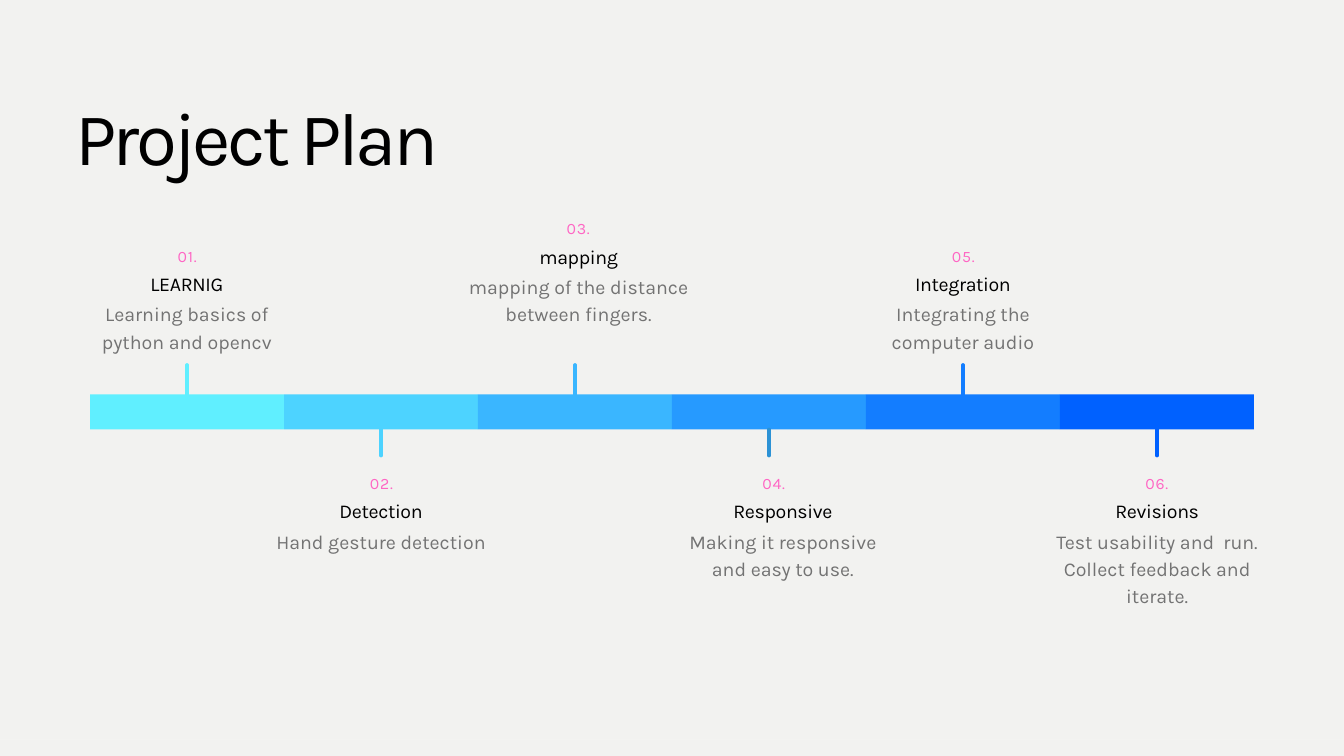
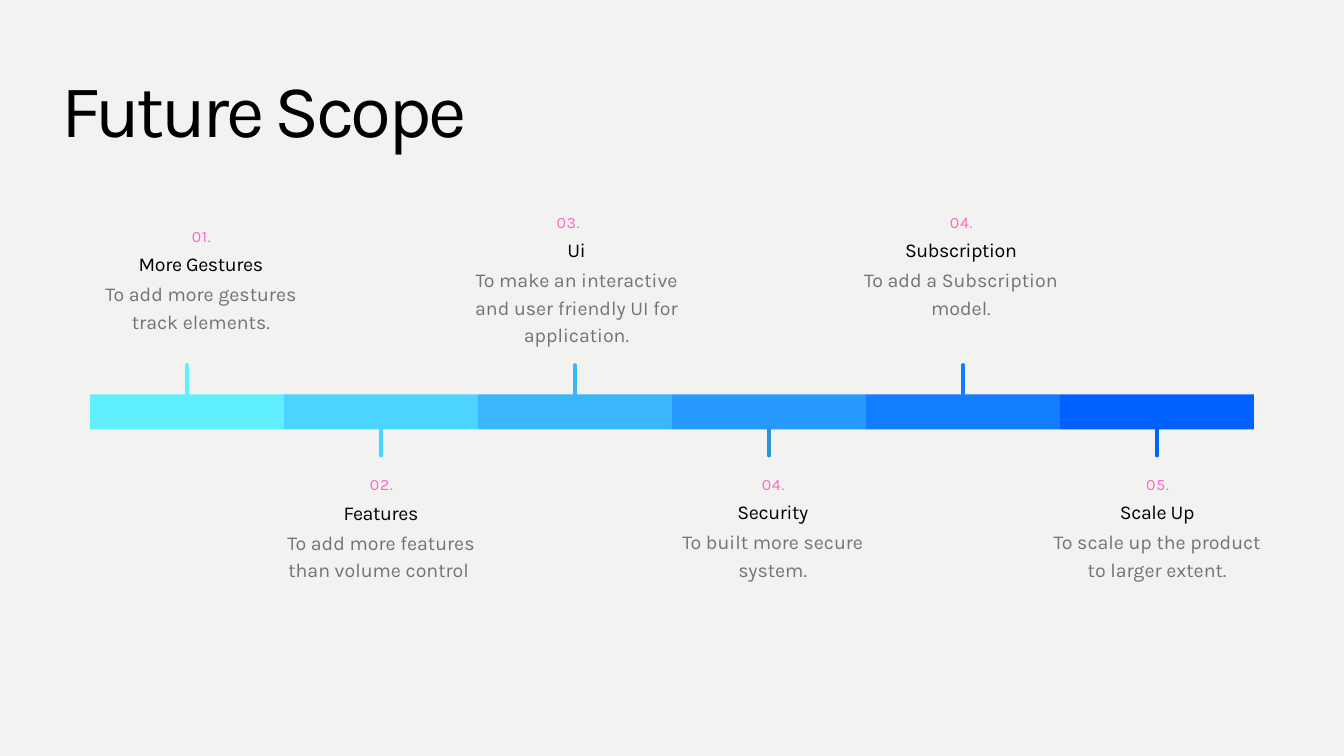
from lxml import etree
from pptx import Presentation
from pptx.dml.color import RGBColor
from pptx.enum.shapes import MSO_CONNECTOR, MSO_SHAPE
from pptx.enum.text import MSO_AUTO_SIZE, PP_ALIGN
from pptx.oxml.ns import qn
from pptx.util import Inches, Pt

COLORS = {"background": "F2F2F0", "frame": "FDFDFD", "title": "000000",
          "heading": "000000", "body": "737373", "number": "FF66C4"}
BAR_COLORS = ["60EFFF", "4DD3FF", "3AB6FF", "269AFF", "137DFF", "0061FF"]
TICK_COLORS = ["60EFFF", "4DD3FF", "3AB6FF", "2C92D5", "137DFF", "0061FF"]

# style: (size, line spacing, letter spacing, alignment)
STYLES = {"title": (80, 88, -4, PP_ALIGN.LEFT),
          "heading": (21, 29.4, -0.4, PP_ALIGN.CENTER),
          "body": (21, 29.4, 0, PP_ALIGN.CENTER),
          "number": (17, 23.8, 0.8, PP_ALIGN.CENTER)}

BAR_LEFT, BAR_RIGHT, BAR_TOP, BAR_H = 1.34, 18.66, 5.87, 0.52
BAR_W = (BAR_RIGHT - BAR_LEFT) / len(BAR_COLORS)
TICK_TOP, TICK_BOTTOM = 5.43, 6.78
STEP_W, NUMBER_W, LINE_H = 3.3, 0.91, 0.4

# step: (left, heading top, number left, number, heading, body, body lines)
SLIDES = [
    ("Project Plan", 1.12, 1.47, [
        (1.13, 3.99, 2.33, "01.", "LEARNIG", "Learning basics of python and opencv", 2),
        (4.02, 7.37, 5.22, "02.", "Detection", "Hand gesture detection", 1),
        (6.96, 3.58, 8.15, "03.", "mapping", "mapping of the distance between fingers.", 2),
        (10, 7.37, 11.06, "04.", "Responsive", "Making it responsive and easy to use.", 2),
        (12.68, 3.99, 13.88, "05.", "Integration", "Integrating the computer audio", 2),
        (15.57, 7.37, 16.76, "06.", "Revisions",
         "Test usability and  run. Collect feedback and iterate.", 3),
    ]),
    ("Future Scope", 0.92, 1.05, [
        (1.34, 3.69, 2.54, "01.", "More Gestures", "To add more gestures track elements.", 2),
        (4.02, 7.39, 5.22, "02.", "Features", "To add more features than volume control ", 2),
        (6.93, 3.48, 8, "03.", "Ui",
         "To make an interactive and user friendly UI for application.", 3),
        (9.85, 7.38, 11.05, "04.", "Security", "To built more secure system.", 2),
        (12.65, 3.48, 13.85, "04.", "Subscription", "To add a Subscription model.", 2),
        (15.57, 7.38, 16.77, "05.", "Scale Up", "To scale up the product to larger extent.", 2),
    ]),
]


def add_text(s, text, style, left, top, width, height):
    size, leading, tracking, align = STYLES[style]
    tf = s.shapes.add_textbox(Inches(left), Inches(top), Inches(width), Inches(height)).text_frame
    tf.margin_left = tf.margin_top = tf.margin_right = tf.margin_bottom = 0
    tf.word_wrap = True
    tf.auto_size = MSO_AUTO_SIZE.SHAPE_TO_FIT_TEXT
    tf.text = text
    p = tf.paragraphs[0]
    p.alignment = align
    p.line_spacing = Pt(leading)
    r = p.runs[0]
    r.font.name = "Karla"
    r.font.size = Pt(size)
    r.font.color.rgb = RGBColor.from_string(COLORS[style])
    if tracking:
        r._r.get_or_add_rPr().set("spc", str(round(tracking * 100)))


def paint(sp, color):
    sp.shadow.inherit = False
    sp.fill.solid()
    sp.fill.fore_color.rgb = RGBColor.from_string(color)
    sp.line.fill.background()


prs = Presentation()
prs.slide_width, prs.slide_height = Inches(20), Inches(11.25)

for title, title_left, title_top, steps in SLIDES:
    s = prs.slides.add_slide(prs.slide_layouts[6])
    s.background.fill.solid()
    s.background.fill.fore_color.rgb = RGBColor.from_string(COLORS["background"])

    # Border: the slide's outline with the inner panel cut out
    border = s.shapes.build_freeform(0, 0, scale=Inches(1))
    border.add_line_segments([(0, 11.25), (20, 11.25), (20, 0)])
    border.move_to(19.8, 11.05)
    border.add_line_segments([(0.19, 11.05), (0.19, 0.19), (19.8, 0.19)])
    paint(border.convert_to_shape(), COLORS["frame"])

    add_text(s, title, "title", title_left, title_top, 17.74, 1.26)

    # Timeline: ticks alternate above and below the bar
    for i, (bar_color, tick_color) in enumerate(zip(BAR_COLORS, TICK_COLORS)):
        left = BAR_LEFT + i * BAR_W
        bar = s.shapes.add_shape(MSO_SHAPE.RECTANGLE, Inches(left), Inches(BAR_TOP),
                                 Inches(BAR_W), Inches(BAR_H))
        paint(bar, bar_color)

        above = i % 2 == 0
        x = Inches(left + BAR_W / 2)
        start, end = (TICK_TOP, BAR_TOP) if above else (BAR_TOP + BAR_H, TICK_BOTTOM)
        tick = s.shapes.add_connector(MSO_CONNECTOR.STRAIGHT, x, Inches(start), x, Inches(end))
        if above:
            tick.end_connect(bar, 0)
        else:
            tick.begin_connect(bar, 2)
        tick.line.width = Pt(3.75)
        tick.line.color.rgb = RGBColor.from_string(tick_color)
        tick.line._get_or_add_ln().set("cap", "rnd")
        etree.SubElement(tick._element.spPr, qn("a:effectLst"))

    for left, top, number_left, number, heading, body, lines in steps:
        add_text(s, heading, "heading", left, top, STEP_W, LINE_H)
        add_text(s, body, "body", left, top + 0.45, STEP_W, lines * LINE_H)
        add_text(s, number, "number", number_left, top - 0.37, NUMBER_W, 0.31)

prs.save("out.pptx")
